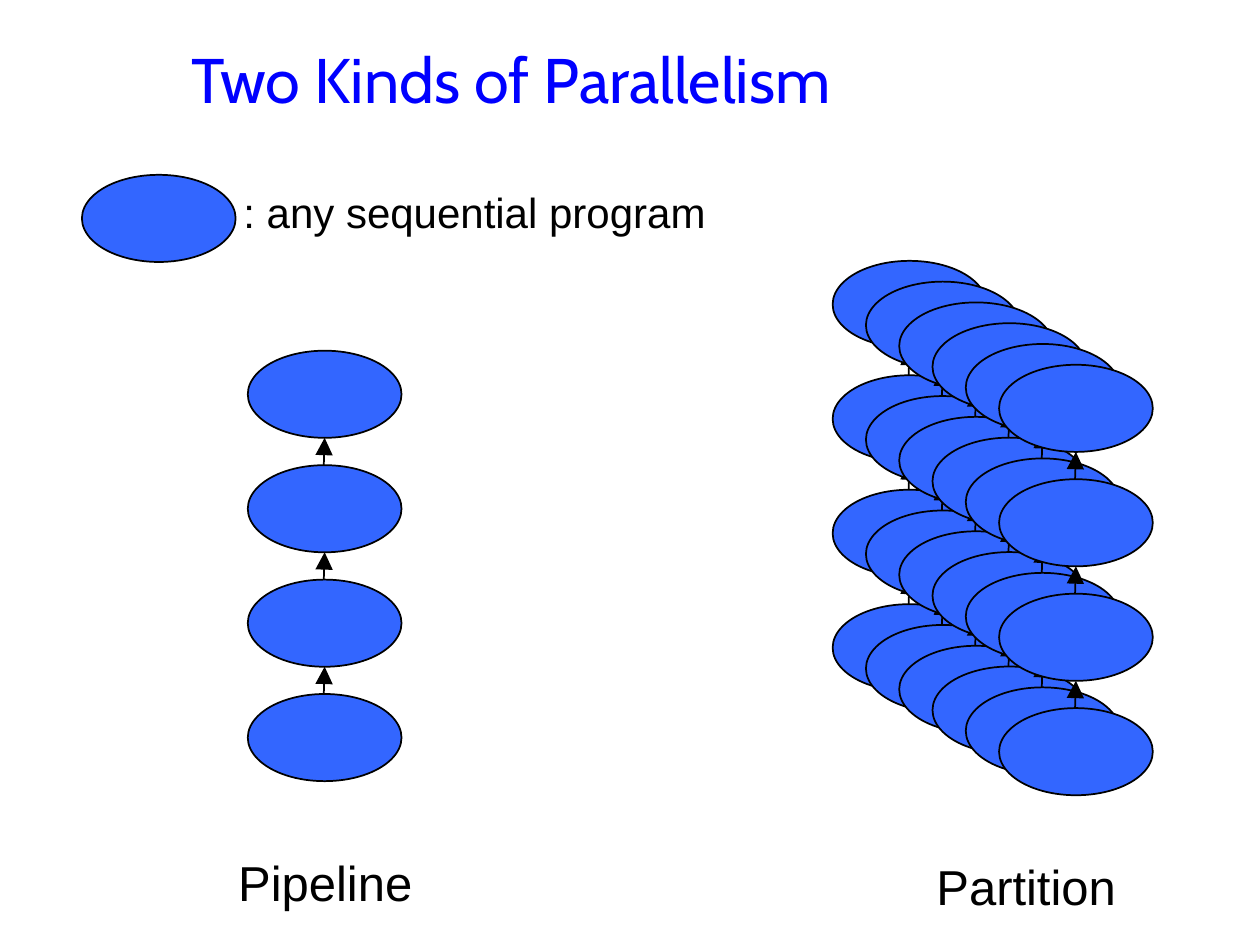
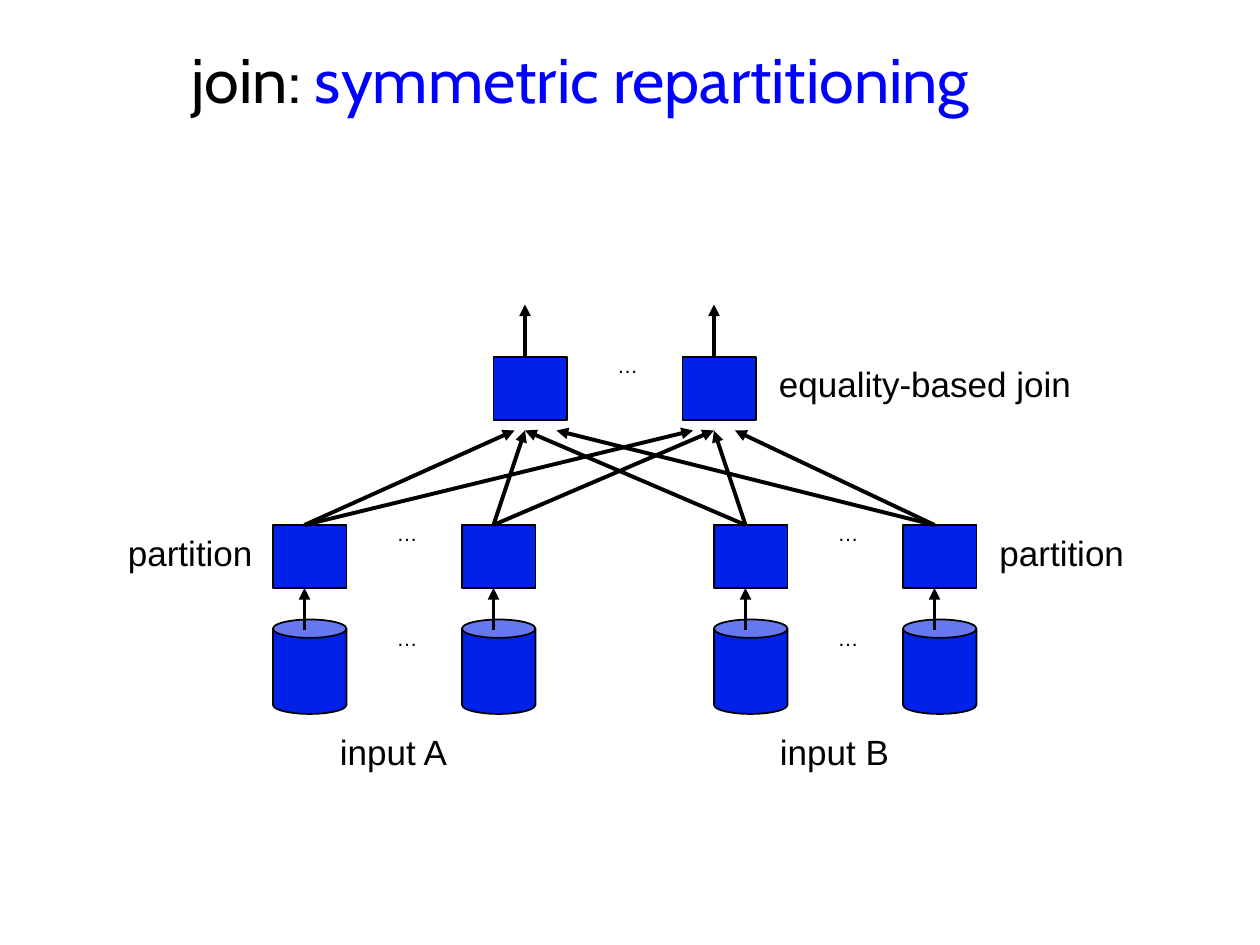
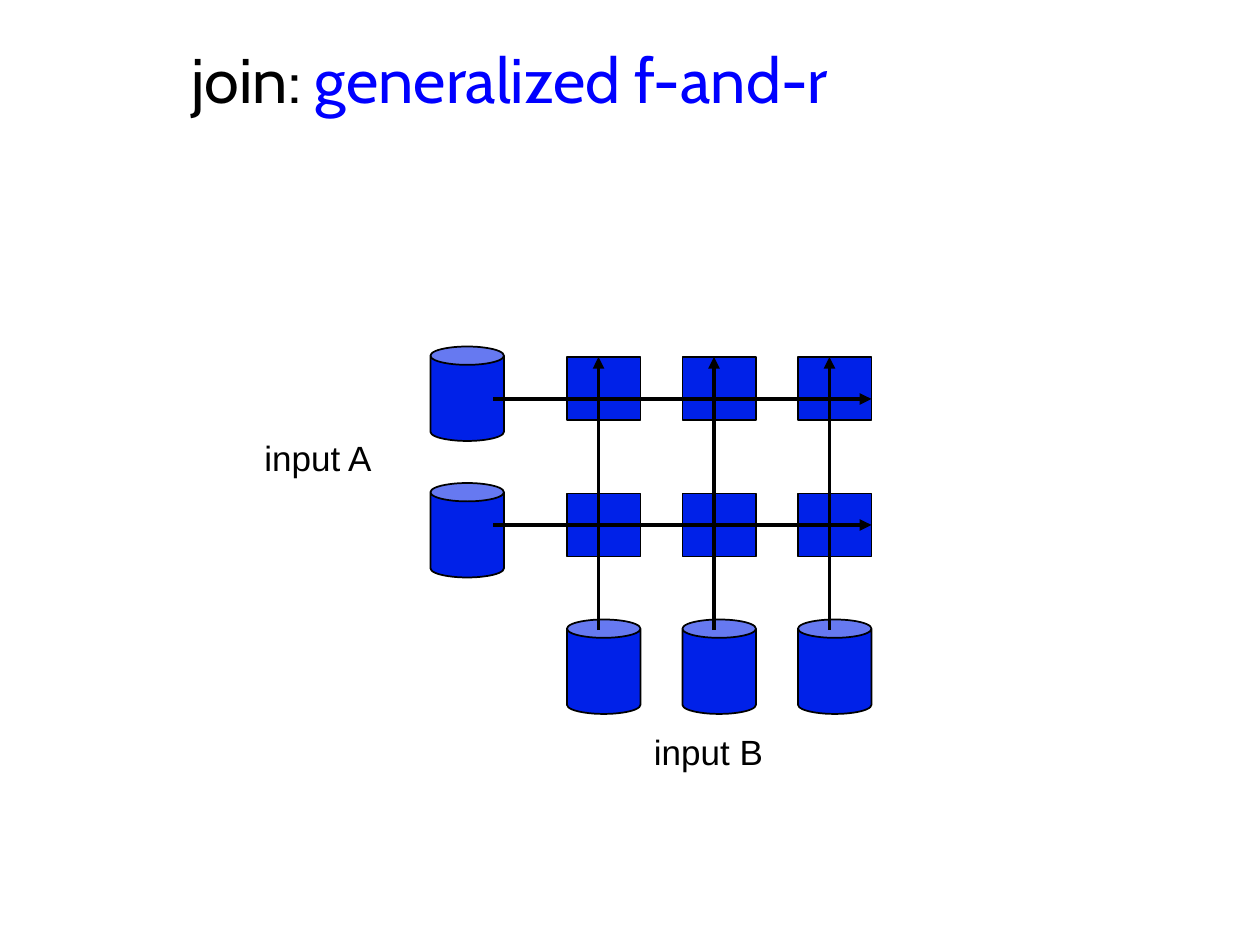
from lxml import etree
from pptx import Presentation
from pptx.dml.color import RGBColor
from pptx.enum import shapes, text
from pptx.oxml import ns
from pptx.util import Inches, Pt

COLUMNS, ROWS = 120, 90
CELL = Inches(10) / COLUMNS
BLACK, TITLE_BLUE = "000000", "0000FF"
TITLE_FONT, LABEL_FONT = "Cabin", "Arial"

# Preset, width and height in cells, fill
NODES = {
    "program": (shapes.MSO_SHAPE.OVAL, 14.64, 8.3, "3366FF"),
    "operator": (shapes.MSO_SHAPE.RECTANGLE, 7, 6, "0021E8"),
    "data": (shapes.MSO_SHAPE.CAN, 7, 9, "0021E8"),
}


def rgb(hex_string):
    return RGBColor.from_string(hex_string)


def add_text(slide, runs, left, top, width, height, size, font):
    """Add a text box measured in cells; runs are (words, colour) pairs."""
    box = slide.shapes.add_textbox(*(round(n * CELL) for n in (left, top, width, height)))
    box.text_frame.word_wrap = True
    paragraph = box.text_frame.paragraphs[0]
    for words, colour in runs:
        run = paragraph.add_run()
        run.text = words
        for name, value in {"name": font, "size": Pt(size)}.items():
            setattr(run.font, name, value)
        run.font.color.rgb = rgb(colour)
    return box.text_frame


# Each slide lists its items from back to front:
# (node kind, left, top) or ("arrow", from x, from y, to x, to y)

# Two kinds of parallelism: four-step columns, one alone and six stacked
_, program_width, program_height, _ = NODES["program"]
STEPS, STEP_PITCH = 4, 10.9
ARROW_LEAN = 0.08
column_places = [(23.6, 33.4)]
column_places += [(79.3 + 3.17 * layer, 24.84 + 1.98 * layer) for layer in range(6)]
parallel_items = [("program", 7.8, 16.65)]
for left, top in column_places:
    step_tops = [top + STEP_PITCH * step for step in range(STEPS)]
    middle = left + program_width / 2
    parallel_items += [("program", left, step_top) for step_top in step_tops]
    parallel_items += [("arrow", middle - ARROW_LEAN, lower, middle, upper + program_height)
                       for upper, lower in zip(step_tops, step_tops[1:])]
parallel_labels = [
    ("Pipeline", 21.5, 80.64, 20, 28),
    ("Partition", 88, 81, 20.5, 28),
    (": any sequential program", 22, 17.2, 48, 24),
]

# Symmetric repartitioning: every partition feeds both joins
ARROW_INSET = 3
JOIN_TOP, PARTITION_TOP, DATA_TOP = 34, 50, 59
join_lefts = (47, 65)
partition_targets = {26: (49, 66), 44: (50, 68), 68: (50, 68), 86: (53, 70)}
symmetric_items = []
for left in join_lefts:
    x = left + ARROW_INSET
    symmetric_items += [("operator", left, JOIN_TOP), ("arrow", x, JOIN_TOP, x, 29)]
for left, targets in partition_targets.items():
    x = left + ARROW_INSET
    symmetric_items += [
        ("data", left, DATA_TOP),
        ("operator", left, PARTITION_TOP),
        ("arrow", x, DATA_TOP + 1, x, PARTITION_TOP + 6),
    ]
    symmetric_items += [("arrow", x, PARTITION_TOP, target, 41) for target in targets]
symmetric_labels = [
    ("input A", 31.2, 69, 13.5, 20),
    ("input B", 73.1, 69, 13.5, 20),
    ("equality-based join", 73, 33.9, 36, 20),
    ("partition", 11, PARTITION_TOP, 15, 20),
    ("partition", 94, PARTITION_TOP, 15, 20),
]
symmetric_labels += [
    ("…", left + 10.6, top, 4.5, 12)
    for left, top in [(47, 33), (26, 49), (68, 49), (26, 59), (68, 59)]
]

# Generalized f-and-r: every row of A crosses every column of B
column_lefts = [54 + 11 * column for column in range(3)]
row_tops = [34, 47]
crossing_items = [("data", 41, top - 1) for top in row_tops]
crossing_items += [("data", left, DATA_TOP) for left in column_lefts]
crossing_items += [("operator", left, top) for top in row_tops for left in column_lefts]
crossing_items += [("arrow", left + ARROW_INSET, DATA_TOP + 1, left + ARROW_INSET, row_tops[0])
                   for left in column_lefts]
crossing_items += [("arrow", 47, y, 83, y) for y in (38, 50)]
crossing_labels = [
    ("input B", 61.1, 69, 13.5, 20),
    ("input A", 24, 41, 13.5, 20),
]

# Title runs, arrow width, arrowhead size, items, labels
SLIDES = [
    ([("Two Kinds of Parallelism", TITLE_BLUE)], 1, "lg", parallel_items, parallel_labels),
    ([("join:", BLACK), (" symmetric repartitioning", TITLE_BLUE)],
     2.25, "med", symmetric_items, symmetric_labels),
    ([("join:", BLACK), (" generalized f-and-r", TITLE_BLUE)],
     2.25, "med", crossing_items, crossing_labels),
]

presentation = Presentation()
presentation.slide_width = round(COLUMNS * CELL)
presentation.slide_height = round(ROWS * CELL)

for title_runs, arrow_width, head_size, items, labels in SLIDES:
    slide = presentation.slides.add_slide(presentation.slide_layouts[6])
    title = add_text(slide, title_runs, 17.05, 0, 94, 15, 36, TITLE_FONT)
    title.vertical_anchor = text.MSO_ANCHOR.MIDDLE

    for kind, *place in items:
        if kind == "arrow":
            shape = slide.shapes.add_connector(
                shapes.MSO_CONNECTOR.STRAIGHT, *(round(n * CELL) for n in place))
            shape.line.width = Pt(arrow_width)
            etree.SubElement(shape.line._get_or_add_ln(), ns.qn("a:tailEnd"),
                             type="triangle", w=head_size, len=head_size)
            etree.SubElement(shape._element.spPr, ns.qn("a:effectLst"))
        else:
            preset, width, height, fill = NODES[kind]
            shape = slide.shapes.add_shape(
                preset, *(round(n * CELL) for n in (*place, width, height)))
            shape.shadow.inherit = False
            shape.fill.solid()
            shape.fill.fore_color.rgb = rgb(fill)
            shape.line.width = Pt(1)
        shape.line.color.rgb = rgb(BLACK)

    for words, left, top, width, size in labels:
        add_text(slide, [(words, BLACK)], left, top, width,
                 0.2 * size + 1.2, size, LABEL_FONT)

presentation.save("out.pptx")
